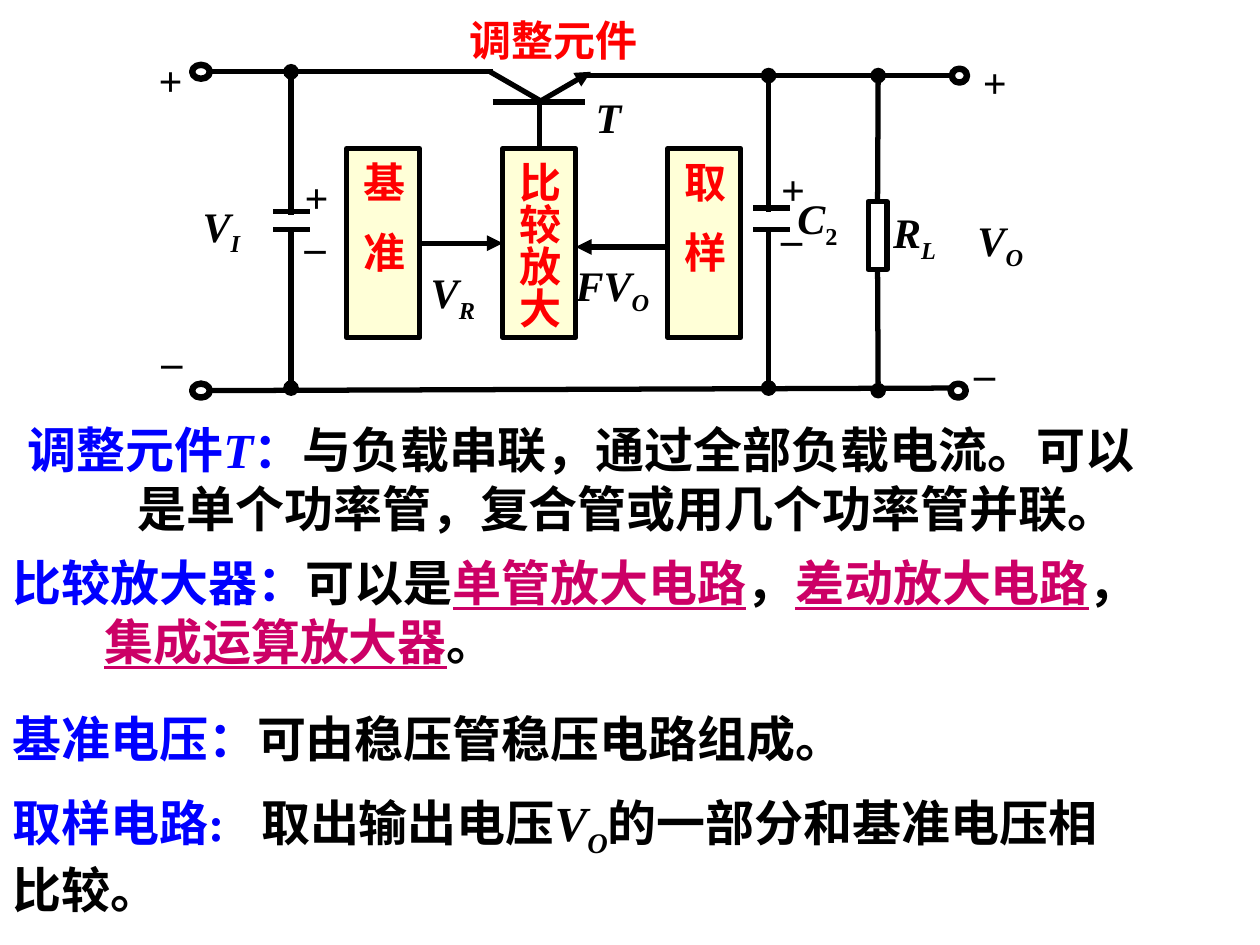
from lxml import etree
from pptx import Presentation
from pptx.dml.color import RGBColor
from pptx.enum import shapes, text
from pptx.oxml.ns import qn
from pptx.util import Inches, Pt

BLACK = RGBColor(0, 0, 0)
RED = RGBColor(255, 0, 0)
BLUE = RGBColor(0, 0, 255)
MAGENTA = RGBColor(204, 0, 102)
CREAM = RGBColor(255, 255, 215)
SERIF, SANS = "Times New Roman", "Arial"
LEFT, CENTER = text.PP_ALIGN.LEFT, text.PP_ALIGN.CENTER
TOP, MIDDLE = text.MSO_ANCHOR.TOP, text.MSO_ANCHOR.MIDDLE
SUB = {"baseline": "-25000"}

deck = Presentation()
deck.slide_width, deck.slide_height = Inches(10), Inches(7.5)
page = deck.slides.add_slide(deck.slide_layouts[6])


def write(para, spans, size=24, name=SERIF, align=LEFT):
    para.alignment = align
    for words, color, changes, extras in spans:
        span = para.add_run()
        span.text = words
        span.font.color.rgb = color
        look = {"size": Pt(size), "name": name, "bold": True, **changes}
        for key, value in look.items():
            setattr(span.font, key, value)
        for key, value in extras.items():
            span.font._element.set(key, value)


def add_wire(x1, y1, x2, y2, head=None, tail=None):
    wire = page.shapes.add_connector(
        shapes.MSO_CONNECTOR.STRAIGHT, Inches(x1), Inches(y1), Inches(x2), Inches(y2))
    wire.line.color.rgb = BLACK
    wire.line.width = Pt(3)
    outline = wire.line._get_or_add_ln()
    for tag, kind in (("a:headEnd", head), ("a:tailEnd", tail)):
        if kind:
            etree.SubElement(outline, qn(tag)).set("type", kind)
    etree.SubElement(wire._element.spPr, qn("a:effectLst"))
    return wire


blocks = {}
for key, left, spans in (
    ("compare", 3.99, [("比较放大", {})]),
    ("reference", 2.75, [("基", {"spc": "1600"}), ("准", {})]),
    ("sampling", 5.3, [("取", {"spc": "1600"}), ("样", {})]),
):
    block = page.shapes.add_shape(
        shapes.MSO_SHAPE.RECTANGLE, Inches(left), Inches(1.18), Inches(0.58), Inches(1.5))
    block.fill.solid()
    block.fill.fore_color.rgb = CREAM
    frame = block.text_frame
    frame._txBody.bodyPr.set("vert", "eaVert")
    layout = {"word_wrap": False, "vertical_anchor": MIDDLE,
              "margin_left": Inches(0.05), "margin_right": Inches(0.05),
              "margin_top": Inches(0.1), "margin_bottom": Inches(0.1)}
    for name, value in layout.items():
        setattr(frame, name, value)
    write(frame.paragraphs[0], [(words, RED, {}, extras) for words, extras in spans],
          name=SANS, align=CENTER)
    blocks[key] = block

resistor = page.shapes.add_shape(
    shapes.MSO_SHAPE.RECTANGLE, Inches(6.89), Inches(1.6), Inches(0.15), Inches(0.54))
resistor.fill.background()

terminals = []
for left, top, width in ((1.52, 0.51, 0.15), (1.52, 3.04, 0.15),
                         (7.55, 0.54, 0.13), (7.54, 3.04, 0.13)):
    terminal = page.shapes.add_shape(
        shapes.MSO_SHAPE.DONUT, Inches(left), Inches(top), Inches(width), Inches(0.12))
    terminal.adjustments[0] = 0.08
    terminal.fill.background()
    terminals.append(terminal)

for outlined in (*blocks.values(), resistor, *terminals):
    outlined.shadow.inherit = False
    outlined.line.color.rgb = BLACK
    outlined.line.width = Pt(3)

for ends in (
    (1.66, 0.57, 3.91, 0.57), (4.64, 0.6, 7.53, 0.6), (1.66, 3.1, 7.53, 3.08),
    (3.89, 0.57, 4.29, 0.8), (3.91, 0.81, 4.64, 0.81),
):
    add_wire(*ends)
add_wire(4.26, 0.82, 4.69, 0.57, tail="triangle")

for x, rail, plate_left, plate_top in ((2.31, 0.57, 2.17, 1.68), (6.1, 0.6, 5.98, 1.65)):
    add_wire(x, rail, x, plate_top + 0.03, head="oval")
    add_wire(x, 3.08, x, 1.83, head="oval")
    for y in (plate_top, 1.82):
        add_wire(plate_left, y, plate_left + 0.29, y)

add_wire(4.28, 0.81, 4.28, 1.18).end_connect(blocks["compare"], 0)
add_wire(6.97, 0.6, 6.97, 1.6, head="oval").end_connect(resistor, 0)
add_wire(6.97, 2.14, 6.97, 3.1, tail="oval").begin_connect(resistor, 2)
arrow = add_wire(3.33, 1.93, 3.99, 1.93, tail="triangle")
arrow.begin_connect(blocks["reference"], 3)
arrow.end_connect(blocks["compare"], 1)
add_wire(5.3, 1.96, 4.57, 1.96, tail="triangle")

ITALIC = {"italic": True}
labels = [
    ((4.63, 0.68, 0.4, 0.5), [[("T", BLACK, ITALIC, {})]], SERIF, CENTER, TOP, False),
    ((3.63, 0.07, 1.53, 0.5), [[("调整元件", RED, {}, {})]], SANS, LEFT, TOP, False),
]
for left, top, width, symbol, index, slant in (
    (1.51, 1.54, 0.65, "V", "I", True), (7.66, 1.65, 0.86, "V", "O", True),
    (3.32, 2.07, 0.88, "V", "R", True), (4.47, 2.01, 1.06, "FV", "O", True),
    (6.23, 1.48, 0.76, "C", "2", False), (6.99, 1.59, 0.79, "R", "L", True),
):
    spans = [(symbol, BLACK, ITALIC, {}), (index, BLACK, {"italic": slant}, SUB)]
    labels.append(((left, top, width, 0.56), [spans], SERIF, LEFT, TOP, True))
for left, top in ((2.32, 1.42), (6.1, 1.36)):
    signs = [[(sign, BLACK, {}, {})] for sign in "+_"]
    labels.append(((left, top, 0.39, 0.66), signs, SERIF, LEFT, TOP, False))
for left, top, sign in ((7.56, 0.4, "+"), (7.48, 2.71, "–"), (1.02, 0.38, "+"), (1.03, 2.61, "–")):
    labels.append(((left, top, 0.67, 0.5), [[(sign, BLACK, {}, {})]], SERIF, CENTER, MIDDLE, True))

for place, lines, name, align, anchor, wrap in labels:
    box = page.shapes.add_textbox(*map(Inches, place))
    frame = box.text_frame
    frame.word_wrap = wrap
    frame.auto_size = text.MSO_AUTO_SIZE.SHAPE_TO_FIT_TEXT
    frame.vertical_anchor = anchor
    for number, spans in enumerate(lines):
        para = frame.add_paragraph() if number else frame.paragraphs[0]
        if len(lines) > 1:
            para.line_spacing = 0.7
        write(para, spans, name=name, align=align)

UNDERLINE = {"underline": True}
notes = (
    ((0, 3.28, 9.22, 1.04), SANS, CENTER, MIDDLE, 0.73, [
        ("调整元件", BLUE, {}, {}),
        ("T", BLUE, {"name": SERIF, "italic": True}, {}),
        ("：", BLUE, {}, {}),
        ("与负载串联，通过全部负载电流。可以是单个功率管，复合管或用几个功率管并联。", BLACK, {}, {})]),
    ((0, 4.33, 9.45, 1.04), SANS, LEFT, MIDDLE, 0.73, [
        ("比较放大器：", BLUE, {}, {}),
        ("可以是", BLACK, {}, {}),
        ("单管放大电路", MAGENTA, UNDERLINE, {}),
        ("，", BLACK, {}, {}),
        ("差动放大电路", MAGENTA, UNDERLINE, {}),
        ("，", BLACK, {}, {}),
        ("集成运算放大器", MAGENTA, UNDERLINE, {}),
        ("。", BLACK, {}, {})]),
    ((0, 5.57, 9.31, 0.57), SANS, LEFT, MIDDLE, 0.73, [
        ("基准电压：", BLUE, {}, {}),
        ("可由稳压管稳压电路组成。", BLACK, {}, {})]),
    ((0, 6.24, 9.12, 1.1), SERIF, LEFT, TOP, 0, [
        ("取样电路", BLUE, {}, {}),
        (":", BLUE, {}, {"spc": "2100"}),
        ("取出输出电压", BLACK, {}, {}),
        ("V", BLACK, ITALIC, {}),
        ("O", BLACK, ITALIC, SUB),
        ("的一部分和基准电压相比较。", BLACK, {}, {})]),
)
for place, name, align, anchor, hang, spans in notes:
    box = page.shapes.add_textbox(*map(Inches, place))
    frame = box.text_frame
    frame.word_wrap = True
    frame.auto_size = text.MSO_AUTO_SIZE.SHAPE_TO_FIT_TEXT
    frame.vertical_anchor = anchor
    para = frame.paragraphs[0]
    if hang:
        indents = para._p.get_or_add_pPr()
        indents.set("marL", str(Inches(hang)))
        indents.set("indent", str(-Inches(hang)))
    write(para, spans, size=28, name=name, align=align)

deck.save("out.pptx")
